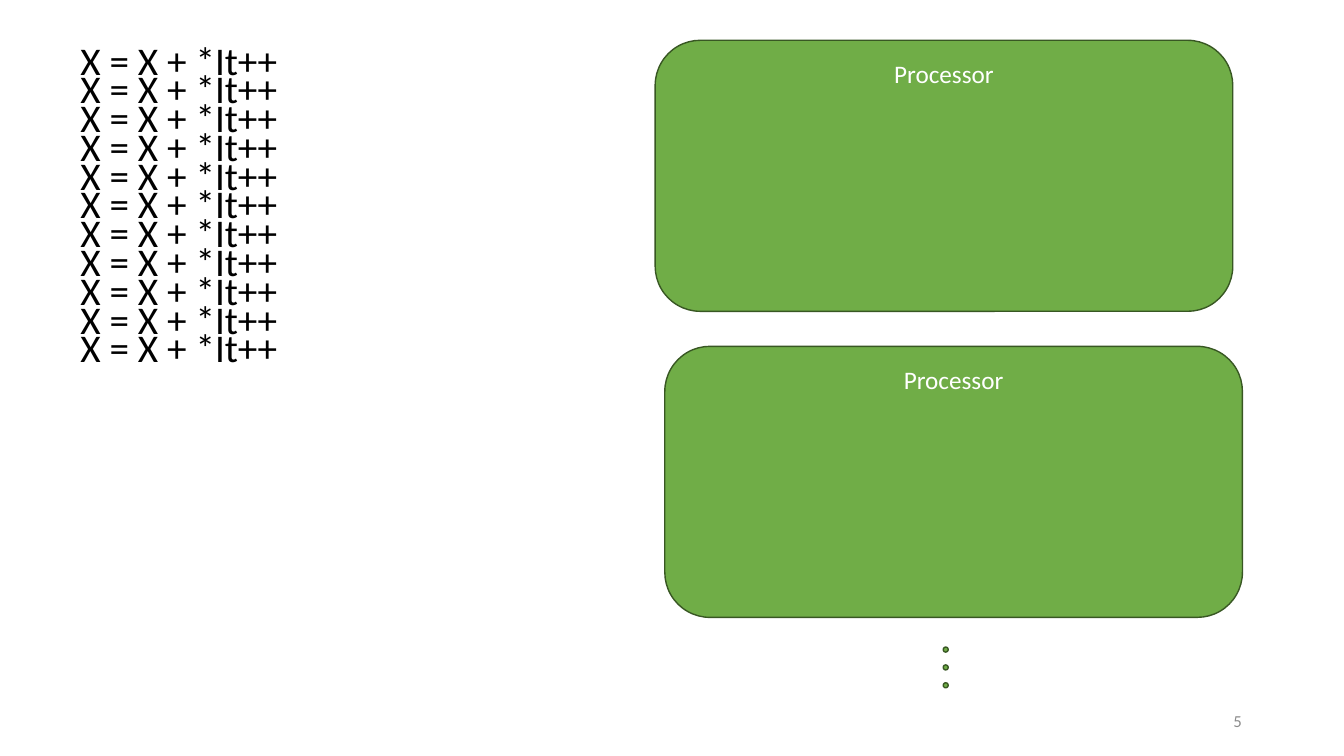
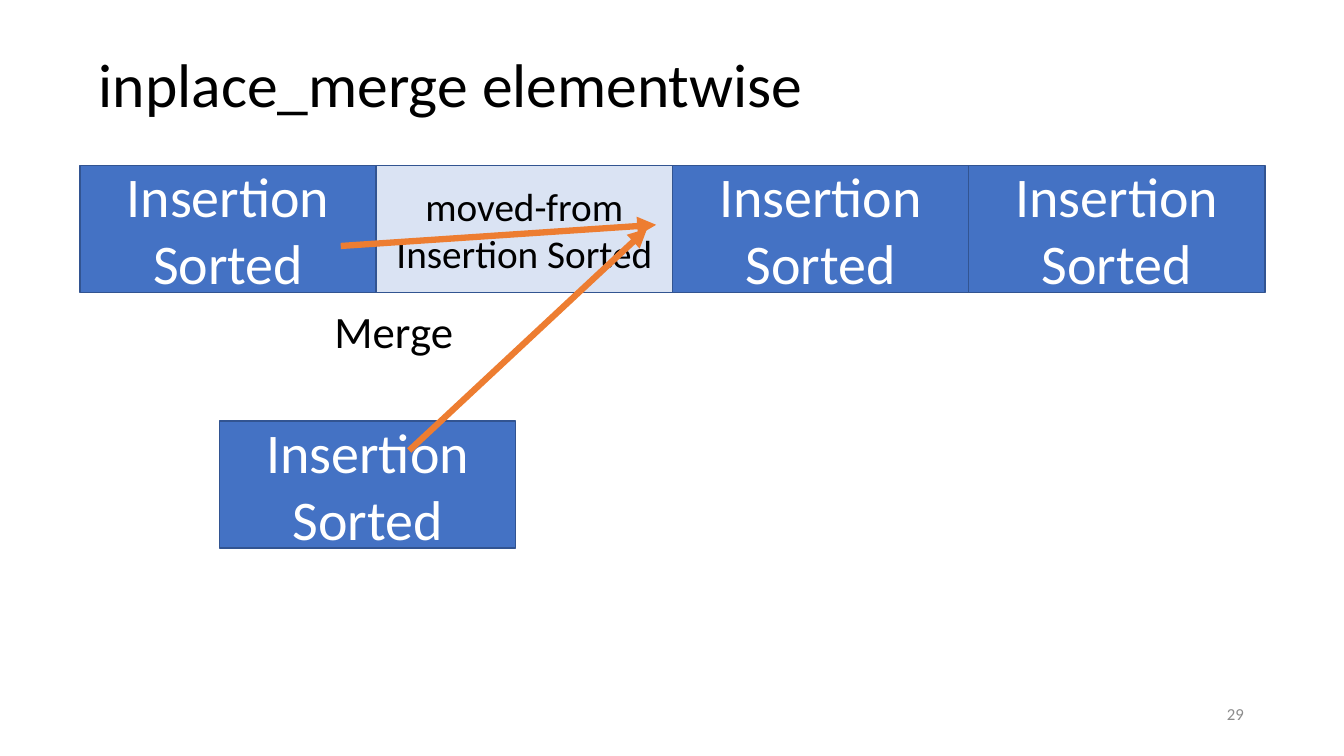
from dataclasses import dataclass

from lxml import etree
from pptx import Presentation
from pptx.dml.color import RGBColor
from pptx.enum.shapes import MSO_CONNECTOR, MSO_SHAPE
from pptx.enum.text import MSO_ANCHOR, MSO_AUTO_SIZE, PP_ALIGN
from pptx.oxml.ns import qn
from pptx.util import Pt

RECTANGLE = MSO_SHAPE.RECTANGLE
ROUNDED = MSO_SHAPE.ROUNDED_RECTANGLE
OVAL = MSO_SHAPE.OVAL
STRAIGHT = MSO_CONNECTOR.STRAIGHT
TOP, MIDDLE = MSO_ANCHOR.TOP, MSO_ANCHOR.MIDDLE
LEFT, CENTER, RIGHT = PP_ALIGN.LEFT, PP_ALIGN.CENTER, PP_ALIGN.RIGHT
TITLE_ONLY, BLANK = 5, 6


@dataclass(frozen=True)
class Theme:
    font: str = "Calibri"
    # Colours
    ink: str = "000000"
    paper: str = "FFFFFF"
    muted: str = "8C8C8C"
    green: str = "70AD47"
    green_edge: str = "385723"
    blue: str = "4472C4"
    blue_pale: str = "DAE3F3"
    blue_edge: str = "325491"
    orange: str = "ED7D31"
    # Type sizes
    title: int = 44
    block: int = 40
    label: int = 32
    code: int = 28
    body: int = 18
    number: int = 12
    # Line widths
    edge: float = 1
    arrow: float = 4.5


THEME = Theme()


def colour(value):
    return RGBColor.from_string(value)


def place(left, top, width, height):
    return Pt(left), Pt(top), Pt(width), Pt(height)


def write(shape, lines, size, ink=THEME.ink, align=LEFT, anchor=TOP):
    """Fill a shape with one paragraph per line."""
    frame = shape.text_frame
    frame.word_wrap = True
    frame.auto_size = MSO_AUTO_SIZE.NONE
    frame.vertical_anchor = anchor
    frame.text = "\n".join(lines)
    for para in frame.paragraphs:
        para.alignment = align
        para.font.name = THEME.font
        para.font.size = Pt(size)
        para.font.color.rgb = colour(ink)


def add_text(page, box, text, size, **style):
    write(page.shapes.add_textbox(*place(*box)), [text], size, **style)


def add_box(page, kind, box, fill, edge):
    shape = page.shapes.add_shape(kind, *place(*box))
    shape.shadow.inherit = False
    shape.fill.solid()
    shape.fill.fore_color.rgb = colour(fill)
    shape.line.color.rgb = colour(edge)
    shape.line.width = Pt(THEME.edge)
    return shape


def add_processor(page, left, top):
    shape = add_box(page, ROUNDED, (left, top, 412.6, 193.6),
                    THEME.green, THEME.green_edge)
    write(shape, ["Processor"], THEME.body, THEME.paper, CENTER)


def add_block(page, left, top, moved=False):
    """Add one range of the array, pale once its items have moved away."""
    fill = THEME.blue_pale if moved else THEME.blue
    shape = add_box(page, RECTANGLE, (left, top, 211.6, 90.7),
                    fill, THEME.blue_edge)
    if moved:
        write(shape, ["moved-from", "Insertion Sorted"], THEME.code,
              align=CENTER, anchor=MIDDLE)
    else:
        write(shape, ["Insertion Sorted"], THEME.block, THEME.paper,
              CENTER, MIDDLE)


def add_arrow(page, start, end):
    ends = [Pt(value) for value in (*start, *end)]
    arrow = page.shapes.add_connector(STRAIGHT, *ends)
    arrow.line.color.rgb = colour(THEME.orange)
    arrow.line.width = Pt(THEME.arrow)
    line = arrow.line._get_or_add_ln()
    etree.SubElement(line, qn("a:tailEnd"), type="triangle")
    etree.SubElement(arrow._element.spPr, qn("a:effectLst"))


def add_title(page, box, text):
    title = page.shapes.title
    title.left, title.top, title.width, title.height = place(*box)
    write(title, [text], THEME.title)


def add_number(page, left, top, number):
    add_text(page, (left, top, 216, 28.75), str(number), THEME.number,
             ink=THEME.muted, align=RIGHT, anchor=MIDDLE)


def build_processors(deck):
    page = deck.slides.add_slide(deck.slide_layouts[BLANK])
    add_processor(page, 474.9, 247.4)
    add_processor(page, 468, 28.8)

    # Overlapping steps of the sum
    for step in range(11):
        add_text(page, (50.4, 22.1 + 20.55 * step, 207.4, 41.2),
                 "X = X + *It++", THEME.code)

    # Dots for further processors
    for dot in range(3):
        add_box(page, OVAL, (673.7, 462.2 + 12.75 * dot, 3.6, 3.6),
                THEME.green, THEME.green_edge)
    add_number(page, 678.2, 500.5, 5)


def build_merge(deck):
    page = deck.slides.add_slide(deck.slide_layouts[TITLE_ONLY])
    add_title(page, (63.4, 29.5, 532, 60.6), "inplace_merge elementwise")

    # Array row, with the moved range behind its neighbours
    row_left, row_top, pitch = 57.1, 118.2, 211.6
    for column in (1, 0, 2, 3):
        add_block(page, row_left + pitch * column, row_top, column == 1)

    # Buffer and merge arrows
    add_block(page, 156.8, 300.8)
    add_arrow(page, (292.3, 321.8), (462.2, 163.4))
    add_arrow(page, (243.4, 175.7), (468.7, 160.6))
    add_text(page, (231.8, 213.1, 116.6, 46), "Merge", THEME.label)
    add_number(page, 679.7, 495.4, 29)


def main():
    deck = Presentation()
    deck.slide_width, deck.slide_height = Pt(960), Pt(540)
    build_processors(deck)
    build_merge(deck)
    deck.save("out.pptx")


main()
